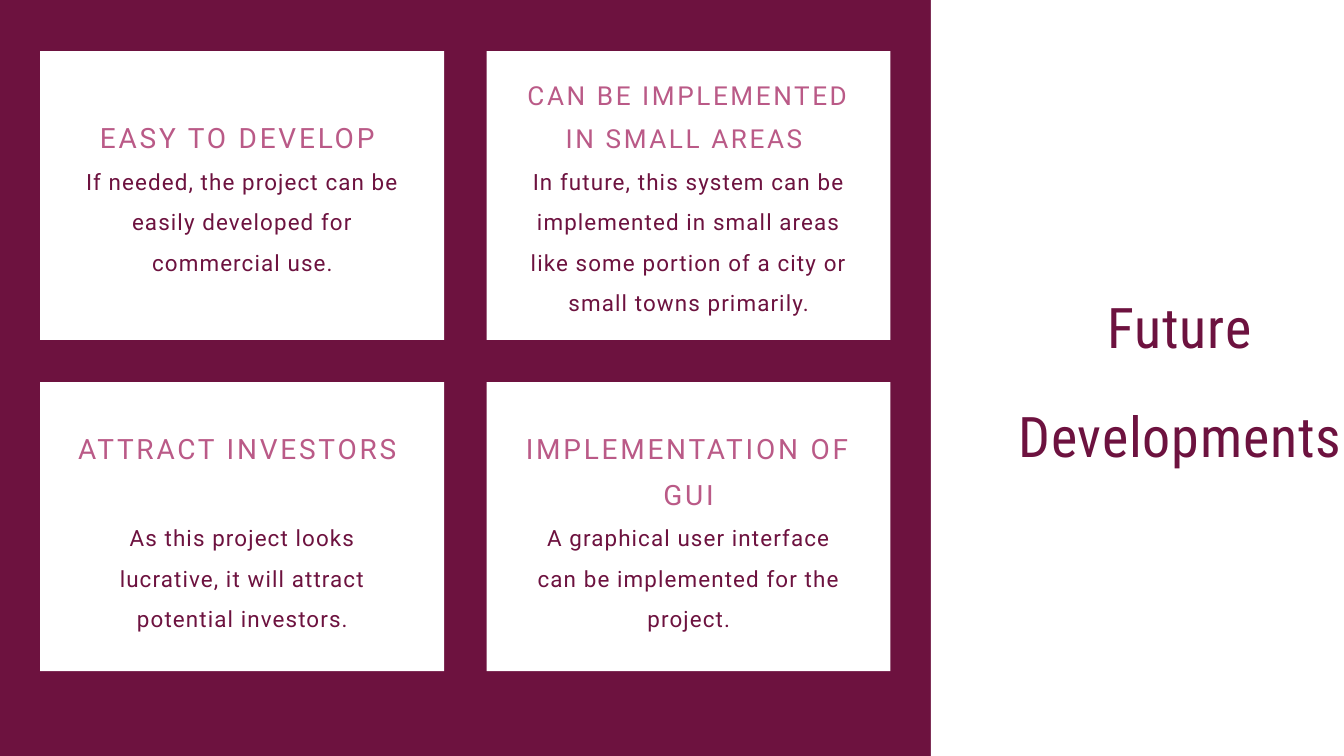
import pptx
import pptx.dml.color
import pptx.enum.shapes
import pptx.enum.text
import pptx.util

Cm = pptx.util.Cm
Pt = pptx.util.Pt
RGBColor = pptx.dml.color.RGBColor

PLUM = RGBColor(0x6D, 0x12, 0x3F)
ROSE = RGBColor(0xBA, 0x5A, 0x87)
WHITE = RGBColor(0xFF, 0xFF, 0xFF)

SLIDE_W, SLIDE_H = 50.8, 28.58
CARD_LEFT, CARD_TOP = 1.52, 1.93
CARD_W, CARD_H = 15.27, 10.92
CARD_GAP = 1.6

# Heading, size, line pitch, heading top, body, body top
CARDS = [
    ("EASY TO DEVELOP ", 30, 49.5, 2.16,
     "If needed, the project can be easily developed for commercial use.", 3.91),
    ("CAN BE IMPLEMENTED IN SMALL AREAS ", 28, 46.2, 0.61,
     "In future, this system can be implemented in small areas like some "
     "portion of a city or small towns primarily.", 3.91),
    ("ATTRACT INVESTORS ", 30, 49.5, 1.37,
     "As this project looks lucrative, it will attract potential investors.", 4.85),
    ("IMPLEMENTATION OF GUI", 30, 49.5, 1.37,
     "A graphical user interface can be implemented for the project.", 4.85),
]


def add_block(s, x, y, w, h):
    """Draw a plain white rectangle."""
    sp = s.shapes.add_shape(pptx.enum.shapes.MSO_SHAPE.RECTANGLE,
                            Cm(x), Cm(y), Cm(w), Cm(h))
    sp.shadow.inherit = False
    sp.fill.solid()
    sp.fill.fore_color.rgb = WHITE
    sp.line.fill.background()


def add_text(s, x, y, w, h, text, font, size, color, pitch, tracking):
    """Place centred, letter-spaced text with a fixed line pitch in points."""
    tf = s.shapes.add_textbox(Cm(x), Cm(y), Cm(w), Cm(h)).text_frame
    tf.word_wrap = True
    tf.auto_size = pptx.enum.text.MSO_AUTO_SIZE.SHAPE_TO_FIT_TEXT
    tf.margin_left = tf.margin_right = tf.margin_top = tf.margin_bottom = 0
    tf.text = text
    p = tf.paragraphs[0]
    p.alignment = pptx.enum.text.PP_ALIGN.CENTER
    p.line_spacing = Pt(pitch)
    r = p.runs[0]
    r.font.name = font
    r.font.size = Pt(size)
    r.font.color.rgb = color
    r.font._element.set("spc", str(round(tracking * 100)))


def add_card(s, x, y, w, h, heading, size, pitch, heading_top, body, body_top):
    """Draw one card with its heading and body."""
    add_block(s, x, y, w, h)
    add_text(s, x + 1.24, y + heading_top, w - 2.47, body_top - heading_top,
             heading, "Roboto", size, ROSE, pitch, size / 10)
    add_text(s, x + 1.64, y + body_top, w - 3.26, 4.37,
             body, "Roboto", 24, PLUM, 43.4, 1.2)


def add_cards(s, x, y, w, h, gap):
    """Lay the cards out in two columns."""
    for i, card in enumerate(CARDS):
        row, col = divmod(i, 2)
        add_card(s, x + col * (w + gap), y + row * (h + gap), w, h, *card)


def add_title_panel(s, x, y, w, h):
    """Draw the white side panel with the slide title."""
    add_block(s, x, y, w, h)
    add_text(s, x + 1.97, y + 9.47, 14.88, 7.82, "Future Developments",
             "Roboto Condensed", 60, PLUM, 117, 0.9)


def main():
    """Build and save the slide."""
    prs = pptx.Presentation()
    prs.slide_width, prs.slide_height = Cm(SLIDE_W), Cm(SLIDE_H)
    s = prs.slides.add_slide(prs.slide_layouts[6])
    s.background.fill.solid()
    s.background.fill.fore_color.rgb = PLUM
    add_title_panel(s, 35.19, 0, SLIDE_W - 35.19, SLIDE_H)
    add_cards(s, CARD_LEFT, CARD_TOP, CARD_W, CARD_H, CARD_GAP)
    prs.save("out.pptx")


if __name__ == "__main__":
    main()
